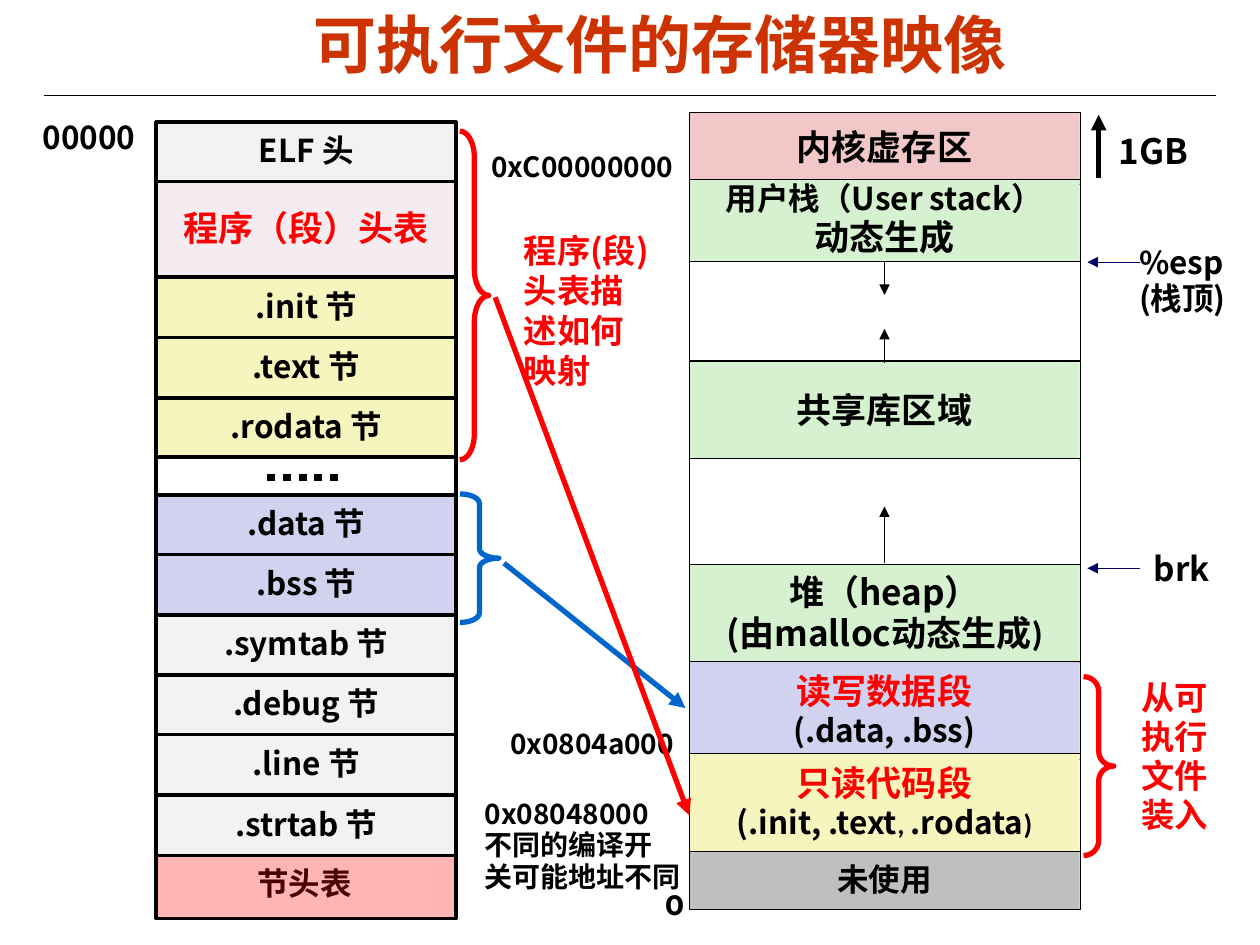
from dataclasses import dataclass

from lxml import etree
from pptx import Presentation
from pptx.dml.color import RGBColor
from pptx.enum.dml import MSO_LINE
from pptx.enum.shapes import MSO_CONNECTOR, MSO_SHAPE
from pptx.enum.text import MSO_ANCHOR, MSO_AUTO_SIZE, PP_ALIGN
from pptx.oxml.ns import qn
from pptx.util import Inches, Pt

RECTANGLE, BRACE = MSO_SHAPE.RECTANGLE, MSO_SHAPE.RIGHT_BRACE
STRAIGHT = MSO_CONNECTOR.STRAIGHT
LEFT, CENTER = PP_ALIGN.LEFT, PP_ALIGN.CENTER
TOP, MIDDLE = MSO_ANCHOR.TOP, MSO_ANCHOR.MIDDLE
FIXED, GROW = MSO_AUTO_SIZE.NONE, MSO_AUTO_SIZE.SHAPE_TO_FIT_TEXT
DOTS = MSO_LINE.ROUND_DOT


class Theme:
    black, white, red, blue, navy = "000000", "FFFFFF", "FF0000", "0066CC", "000066"
    title, plum, gray, dark_gray = "CC3300", "993366", "F2F2F2", "BFBFBF"
    pink, green, yellow, lilac = "F1C7C7", "D5F1CF", "F6F5BD", "D1D1F0"
    main, title_font, second, digit = "Noto Sans CJK SC", "Arial", "Calibri", "Montserrat"
    heading, large, label, body, small = 36, 20, 19, 18, 16
    hair, thin, medium, frame, thick, dots = 0.25, 0.75, 2, 2.25, 3, 4.5


@dataclass
class Words:
    text: str
    size: float = Theme.body
    color: str = Theme.black
    font: str = Theme.main


class MemorySlide:
    columns, rows = 100, 75

    def __init__(self, presentation):
        self.column = presentation.slide_width / self.columns
        self.row = presentation.slide_height / self.rows
        self.slide = presentation.slides.add_slide(presentation.slide_layouts[5])
        self.shapes = self.slide.shapes

    def place(self, *values):
        units = (self.column, self.row)
        return [round(value * units[index % 2]) for index, value in enumerate(values)]

    def style(self, font, words):
        font.size, font.bold = Pt(words.size), True
        font.color.rgb = RGBColor.from_string(words.color)
        font.name = words.font
        east_asian = etree.Element(qn("a:ea"), typeface=Theme.main)
        font._element.find(qn("a:latin")).addnext(east_asian)

    def fill_text(self, shape, lines, align=CENTER, anchor=MIDDLE, wrap=False, size=FIXED,
                  spacing=0.98):
        frame = shape.text_frame
        frame.word_wrap, frame.auto_size, frame.vertical_anchor = wrap, size, anchor
        for index, line in enumerate(lines):
            paragraph = frame.add_paragraph() if index else frame.paragraphs[0]
            paragraph.alignment, paragraph.line_spacing = align, spacing
            parts = line if isinstance(line, tuple) else (line,)
            for words in parts:
                run = paragraph.add_run()
                run.text = words.text
                if len(parts) > 1:
                    self.style(run.font, words)
            if len(parts) == 1:
                self.style(paragraph.font, parts[0])

    def title(self, box, text):
        shape = self.shapes.title
        shape.left, shape.top, shape.width, shape.height = self.place(*box)
        words = Words(text, Theme.heading, Theme.title, Theme.title_font)
        self.fill_text(shape, [words], wrap=True, spacing=1)

    def label(self, box, *lines, align=LEFT, wrap=False, spacing=0.98, inset=0.1):
        shape = self.shapes.add_textbox(*self.place(*box))
        shape.text_frame.margin_left = shape.text_frame.margin_right = Inches(inset)
        self.fill_text(shape, lines, align, TOP, wrap, GROW, spacing)

    def outline(self, line, color, width):
        line.color.rgb = RGBColor.from_string(color)
        line.width = Pt(width)

    def cell(self, box, color, lines=(), width=Theme.hair, alpha=None):
        shape = self.shapes.add_shape(RECTANGLE, *self.place(*box))
        shape.shadow.inherit = False
        shape.fill.solid()
        shape.fill.fore_color.rgb = RGBColor.from_string(color)
        if alpha:
            tint = shape._element.spPr.find(qn("a:solidFill"))[0]
            etree.SubElement(tint, qn("a:alpha"), val=str(alpha * 1000))
        self.outline(shape.line, Theme.black, width)
        self.fill_text(shape, lines)

    def brace(self, box, curve, color):
        shape = self.shapes.add_shape(BRACE, *self.place(*box))
        shape.shadow.inherit = False
        shape.adjustments[0] = curve
        shape.fill.background()
        self.outline(shape.line, color, Theme.thick)

    def line(self, points, color=Theme.black, width=Theme.hair, arrow=True, dash=None):
        connector = self.shapes.add_connector(STRAIGHT, *self.place(*points))
        self.outline(connector.line, color, width)
        if dash:
            connector.line.dash_style = dash
        properties = connector._element.spPr
        if arrow:
            etree.SubElement(properties.find(qn("a:ln")), qn("a:tailEnd"), type="triangle")
        etree.SubElement(properties, qn("a:effectLst"))


def draw_memory(page):
    left, width = 54.7, 31
    areas = [
        (8.9, 5.7, Theme.pink, [Words("内核虚存区", Theme.large)]),
        (14.2, 6.5, Theme.green, [Words("用户栈（User stack）"),
                                  Words("动态生成", Theme.large, font=Theme.second)]),
        (20.7, 7.9, Theme.white, []),
        (28.7, 7.8, Theme.green, [Words("共享库区域", Theme.large)]),
        (36.4, 8.4, Theme.white, []),
        (44.8, 7.8, Theme.green, [Words("堆（heap）", Theme.large),
                                  (Words("(由malloc动态生成", Theme.large),
                                   Words(")", Theme.large, font=Theme.second))]),
        (52.5, 7.8, Theme.lilac, [Words("读写数据段", Theme.large, Theme.red),
                                  Words("(.data, .bss)")]),
        (59.8, 7.8, Theme.yellow, [Words("只读代码段", Theme.large, Theme.red),
                                   (Words("(.init, .text"),
                                    Words(", ", Theme.small, font=Theme.second),
                                    Words(".rodata"),
                                    Words(")", Theme.small, font=Theme.second))]),
        (67.6, 4.6, Theme.dark_gray, [Words("未使用")]),
    ]
    for top, height, color, lines in areas:
        page.cell((left, top, width, height), color, lines)
    middle = left + width / 2
    for start, end in [(44.7, 40.2), (28.8, 26.1), (20.8, 23.4)]:
        page.line((middle, start, middle, end))
    for height in (20.8, 45.1):
        page.line((90.5, height, 86.3, height), Theme.navy)
    page.line((87.2, 14.1, 87.2, 9.1), width=Theme.thick)


def draw_labels(page):
    page.label((2.4, 9, 10.5, 4), Words("00000"), wrap=True)
    page.label((90.4, 19, 8, 6.8), Words("%esp"), Words("(栈顶)"), wrap=True, spacing=0.96, inset=0)
    page.label((90.6, 43.3, 6.4, 4), Words("brk", Theme.label), spacing=0.94)
    page.label((87.8, 9.8, 9.2, 4.3), Words("1GB", Theme.large), wrap=True, spacing=1)
    addresses = [
        ((38, 11.6, 17.1, 3.5), ["0xC00000000"]),
        ((39.5, 57.4, 15.7, 3.6), ["0x0804a000"]),
        ((37.5, 62.9, 17.7, 11.2), ["0x08048000", "不同的编译开", "关可能地址不同"]),
    ]
    for box, texts in addresses:
        page.label(box, *[Words(text, Theme.small) for text in texts], spacing=0.94)
    page.label((51.8, 70.1, 3.5, 3.6), Words("0", Theme.small, font=Theme.digit))
    page.label((89.6, 53.4, 8.2, 13.4),
               Words("从可执行文件装入", Theme.label, Theme.red, Theme.second), wrap=True)
    page.label((40.6, 17.8, 12.3, 13.8),
               Words("程序(段)头表描述如何映射", Theme.label, Theme.red), wrap=True, spacing=1)


def draw_file(page):
    left, width, top = 12.4, 23.8, 9.7
    sections = [
        ("ELF 头", 4.7, Theme.gray), ("程序（段）头表", 7.6, Theme.plum),
        (".init 节", 4.8, Theme.yellow), (".text 节", 4.8, Theme.yellow),
        (".rodata 节", 4.7, Theme.yellow), (None, 3, Theme.white),
        (".data 节", 4.7, Theme.lilac), (".bss 节", 4.8, Theme.lilac),
        (".symtab 节", 4.75, Theme.gray), (".debug 节", 4.75, Theme.gray),
        (".line 节", 4.8, Theme.gray), (".strtab 节", 4.8, Theme.gray),
    ]
    for name, height, color in sections:
        box = (left, top, width, height)
        if name is None:
            page.cell(box, color, width=Theme.frame)
            page.line((21.2, 37.9, 27.3, 37.9), width=Theme.dots, arrow=False, dash=DOTS)
        elif color == Theme.plum:
            page.cell(box, color, [Words(name, Theme.large, Theme.red)], Theme.medium, 9)
        else:
            page.cell(box, color, [Words(name)], Theme.medium)
        top += height
    page.label((15.7, 68.2, 16.9, 4), Words("节头表"), align=CENTER, wrap=True)
    page.cell((left, top, width, 5), Theme.red, width=Theme.medium, alpha=29)


def draw_mapping(page):
    page.brace((86, 53.7, 2.4, 14.2), 0.49, Theme.red)
    page.brace((36.5, 39.2, 3.1, 10.2), 0.24, Theme.blue)
    page.brace((36.5, 10.4, 2.3, 26.1), 0.91, Theme.red)
    page.line((40, 44.7, 54.4, 56.2), Theme.blue, Theme.thick)
    page.line((39.3, 23.6, 54.7, 64.7), Theme.red, Theme.thick)


def main():
    presentation = Presentation()
    presentation.slide_width, presentation.slide_height = Inches(10), Inches(7.5)
    page = MemorySlide(presentation)
    page.title((4.7, 0, 95.3, 6.8), "可执行文件的存储器映像")
    page.line((3.5, 7.6, 96.5, 7.6), width=Theme.thin, arrow=False)
    draw_memory(page)
    draw_labels(page)
    draw_file(page)
    draw_mapping(page)
    presentation.save("out.pptx")


if __name__ == "__main__":
    main()
